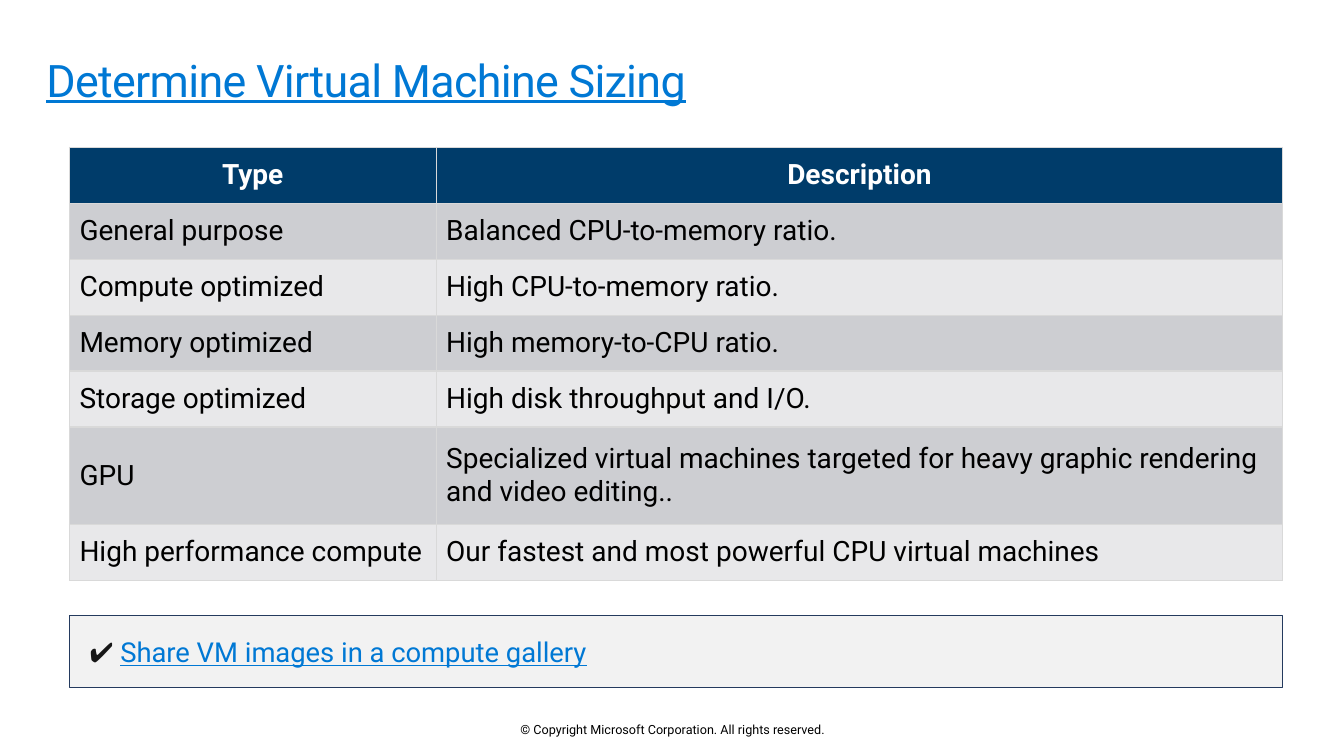
"""Build a slide that lists virtual machine sizes by type."""
from dataclasses import dataclass

import pptx
import pptx.dml.color
import pptx.enum.shapes
import pptx.enum.text
import pptx.oxml
import pptx.oxml.ns
import pptx.util

Cm = pptx.util.Cm
Align = pptx.enum.text.PP_ALIGN
Anchor = pptx.enum.text.MSO_ANCHOR

FONT = "Roboto"
COLORS = {
    "link": "0078D4",
    "header": "003C6A",
    "odd_row": "CDCED2",
    "even_row": "E8E8EA",
    "border": "D9D9D9",
    "note_fill": "F2F2F2",
    "note_line": "243A5E",
    "check": "171717",
    "black": "000000",
    "white": "FFFFFF",
}
TABLE_LEFT = 1.75
COLUMN_WIDTHS = (9.24, 21.34)


@dataclass(frozen=True)
class SizeRow:
    kind: str
    description: str
    height: float = 1.41


HEADER = SizeRow("Type", "Description")
SIZES = [
    SizeRow("General purpose", "Balanced CPU-to-memory ratio."),
    SizeRow("Compute optimized", "High CPU-to-memory ratio."),
    SizeRow("Memory optimized", "High memory-to-CPU ratio."),
    SizeRow("Storage optimized", "High disk throughput and I/O."),
    SizeRow("GPU", "Specialized virtual machines targeted for heavy graphic "
            "rendering and video editing..", 2.45),
    SizeRow("High performance compute",
            "Our fastest and most powerful CPU virtual machines"),
]


def rgb(name: str) -> pptx.dml.color.RGBColor:
    return pptx.dml.color.RGBColor.from_string(COLORS[name])


def style_font(font, size: float, color: str, bold: bool = False,
               underline: bool = False) -> None:
    font.name = FONT
    font.size = pptx.util.Pt(size)
    font.color.rgb = rgb(color)
    font.bold = bold
    font.underline = underline


def set_frame(frame, insets: tuple[float, float, float, float], anchor) -> None:
    frame.word_wrap = True
    frame.vertical_anchor = anchor
    (frame.margin_left, frame.margin_top,
     frame.margin_right, frame.margin_bottom) = map(Cm, insets)


def add_title(slide) -> None:
    title = slide.shapes.add_textbox(Cm(1.17), Cm(1.22), Cm(31.5), Cm(1.88))
    set_frame(title.text_frame, (0, 0.25, 0.41, 0.25), Anchor.TOP)
    heading = title.text_frame.paragraphs[0]
    heading.line_spacing = 0.9
    words = heading.add_run()
    words.text = "Determine Virtual Machine Sizing"
    style_font(words.font, 32, "link", underline=True)
    words.font._element.set("spc", "-50")


def add_borders(cell) -> None:
    properties = cell._tc.get_or_add_tcPr()
    for position, side in enumerate(("lnL", "lnR", "lnT", "lnB")):
        properties.insert(position, pptx.oxml.parse_xml(
            f'<a:{side} {pptx.oxml.ns.nsdecls("a")} w="12700"><a:solidFill>'
            f'<a:srgbClr val="{COLORS["border"]}"/></a:solidFill></a:{side}>'))


def add_sizes(slide) -> None:
    rows = [HEADER, *SIZES]
    sizes = slide.shapes.add_table(
        len(rows), len(COLUMN_WIDTHS), Cm(TABLE_LEFT), Cm(3.71),
        Cm(sum(COLUMN_WIDTHS)), Cm(sum(row.height for row in rows))).table
    for column, width in zip(sizes.columns, COLUMN_WIDTHS):
        column.width = Cm(width)
    for index, row in enumerate(rows):
        sizes.rows[index].height = Cm(row.height)
        is_header = index == 0
        fill = "header" if is_header else "odd_row" if index % 2 else "even_row"
        for cell, words in zip(sizes.rows[index].cells, (row.kind, row.description)):
            cell.text = words
            cell.vertical_anchor = Anchor.MIDDLE
            cell.fill.solid()
            cell.fill.fore_color.rgb = rgb(fill)
            add_borders(cell)
            entry = cell.text_frame.paragraphs[0]
            entry.alignment = Align.CENTER if is_header else Align.LEFT
            style_font(entry.font, 20, "white" if is_header else "black", is_header)


def add_gallery_note(slide) -> None:
    note = slide.shapes.add_shape(
        pptx.enum.shapes.MSO_SHAPE.RECTANGLE, Cm(TABLE_LEFT), Cm(15.52),
        Cm(sum(COLUMN_WIDTHS)), Cm(1.8))
    note.shadow.inherit = False
    note.fill.solid()
    note.fill.fore_color.rgb = rgb("note_fill")
    note.line.color.rgb = rgb("note_line")
    note.line.width = pptx.util.Pt(0.75)
    set_frame(note.text_frame, (0.51, 0.38, 0.51, 0.38), Anchor.MIDDLE)
    sentence = note.text_frame.paragraphs[0]
    sentence.alignment = Align.LEFT
    check = sentence.add_run()
    check.text = "✔️ "
    style_font(check.font, 19.6, "check")
    link = sentence.add_run()
    link.text = "Share VM images in a compute gallery"
    style_font(link.font, 19.6, "link", underline=True)


def add_copyright(slide) -> None:
    footer = slide.shapes.add_textbox(Cm(11.23), Cm(18.19), Cm(11.43), Cm(0.38))
    set_frame(footer.text_frame, (0, 0, 0, 0), Anchor.MIDDLE)
    notice = footer.text_frame.paragraphs[0]
    notice.text = "© Copyright Microsoft Corporation. All rights reserved."
    notice.alignment = Align.CENTER
    style_font(notice.font, 9, "black")


def main() -> None:
    deck = pptx.Presentation()
    deck.slide_width, deck.slide_height = Cm(33.87), Cm(19.05)
    slide = deck.slides.add_slide(deck.slide_layouts[6])
    add_title(slide)
    add_sizes(slide)
    add_gallery_note(slide)
    add_copyright(slide)
    deck.save("out.pptx")


if __name__ == "__main__":
    main()
